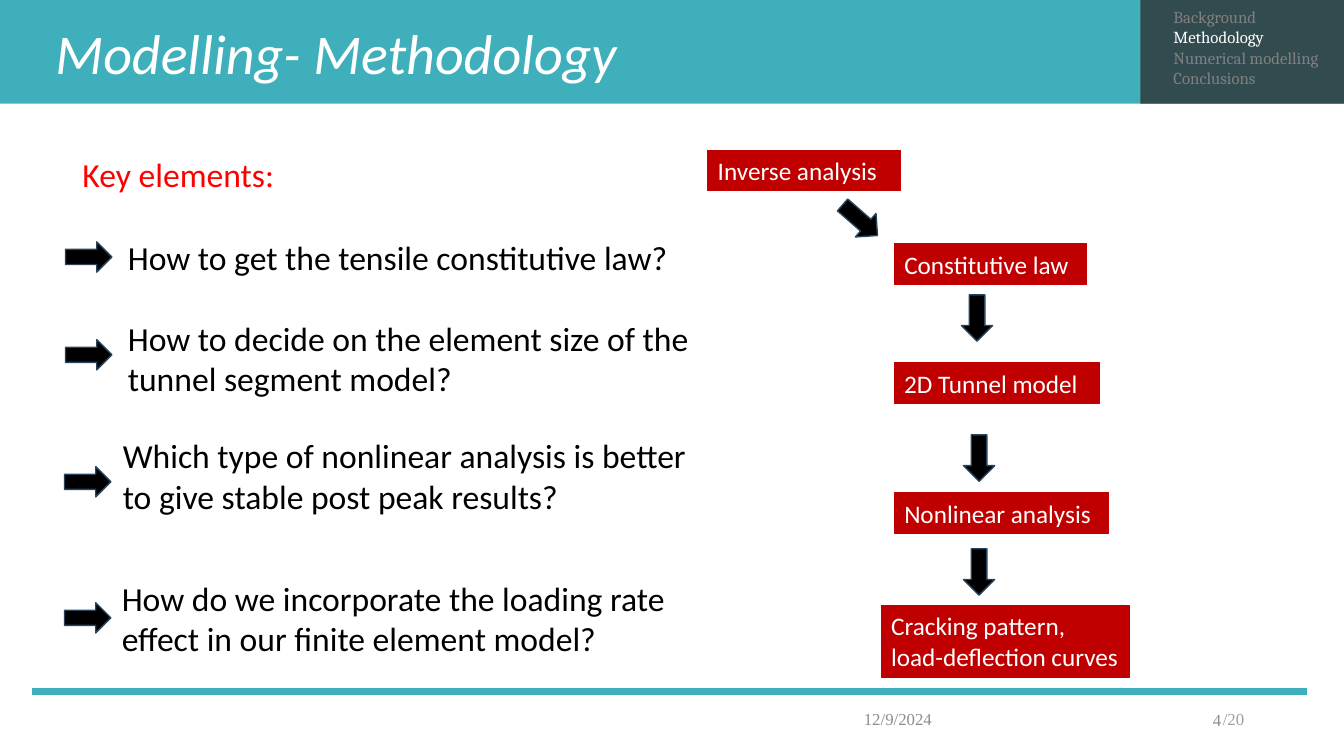
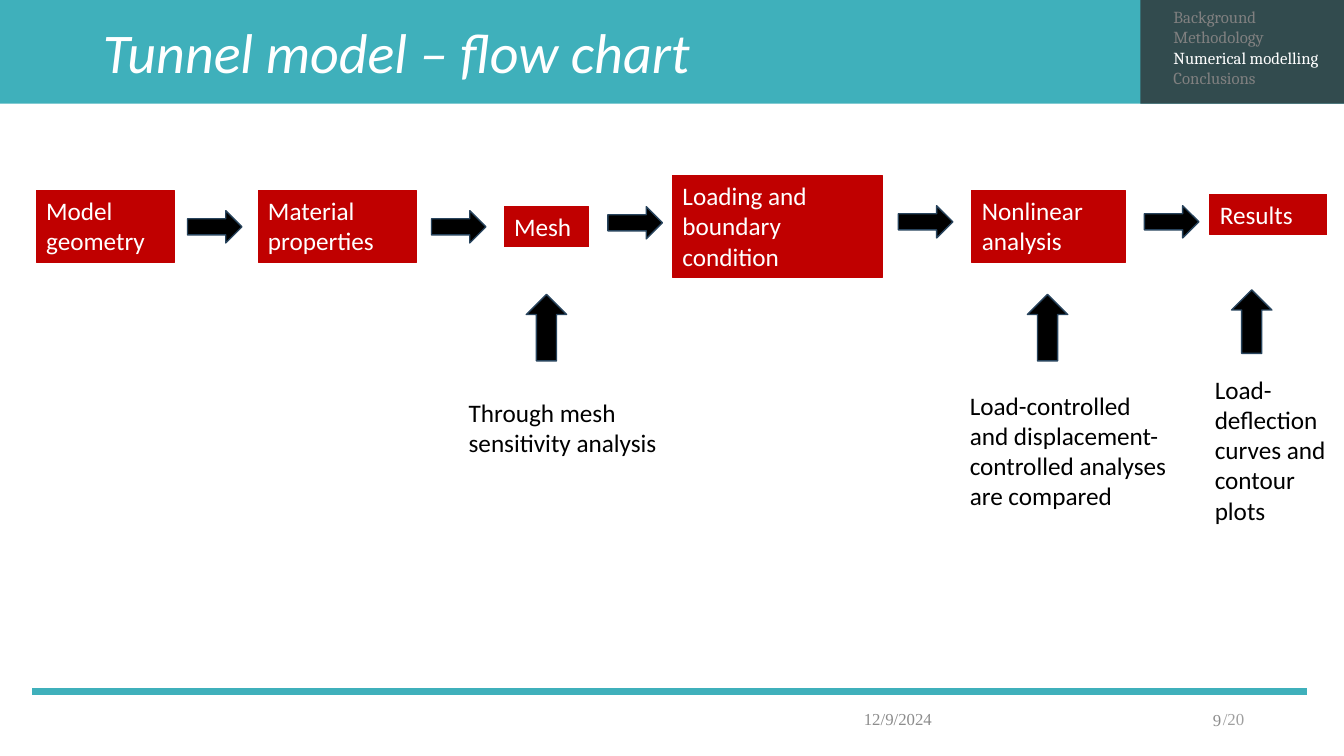
from pptx import Presentation
from pptx.dml.color import RGBColor
from pptx.enum.shapes import MSO_CONNECTOR, MSO_SHAPE
from pptx.enum.text import MSO_ANCHOR, PP_ALIGN
from pptx.oxml.ns import qn
from pptx.util import Inches, Pt
from lxml import etree

TEAL = RGBColor(0x3F, 0xB0, 0xBB)
SLATE = RGBColor(0x32, 0x4B, 0x4E)
CRIMSON = RGBColor(0xC0, 0x00, 0x00)
RED = RGBColor(0xFF, 0x00, 0x00)
NAVY = RGBColor(0x28, 0x44, 0x5D)
BLACK = RGBColor(0x00, 0x00, 0x00)
WHITE = RGBColor(0xFF, 0xFF, 0xFF)
GREY = RGBColor(0x80, 0x80, 0x80)
FOOTER_GREY = RGBColor(0x8C, 0x8C, 0x8C)
TOTAL_GREY = RGBColor(0x9F, 0x9F, 0x9F)

RECTANGLE = MSO_SHAPE.RECTANGLE
RIGHT_ARROW = MSO_SHAPE.RIGHT_ARROW
STRAIGHT = MSO_CONNECTOR.STRAIGHT
MIDDLE = MSO_ANCHOR.MIDDLE
LEFT = PP_ALIGN.LEFT
RIGHT = PP_ALIGN.RIGHT

BODY_FONT = "Calibri"
NAVIGATION_FONT = "Cambria"
FOOTER_FONT = "Times New Roman"
SECTIONS = ["Background", "Methodology", "Numerical modelling", "Conclusions"]
DOWN, UP = 90, 270


def inches(values):
    return [Inches(value) for value in values]


def style(para, size, color, name=BODY_FONT):
    para.font.size = Pt(size)
    para.font.name = name
    para.font.color.rgb = color


def add_text(page, at, text, size, color, name=BODY_FONT):
    box = page.shapes.add_textbox(*inches(at))
    box.text_frame.word_wrap = True
    box.text_frame.text = text
    for para in box.text_frame.paragraphs:
        style(para, size, color, name)
    return box


def add_step(page, at, text):
    box = add_text(page, at, text, 18, WHITE)
    box.fill.solid()
    box.fill.fore_color.rgb = CRIMSON
    box.line.color.rgb = CRIMSON
    box.line.width = Pt(0.75)


def add_shape(page, kind, at, color):
    shape = page.shapes.add_shape(kind, *inches(at))
    shape.shadow.inherit = False
    shape.fill.solid()
    shape.fill.fore_color.rgb = color
    shape.line.fill.background()
    return shape


def add_arrow(page, at, rotation=0):
    arrow = add_shape(page, RIGHT_ARROW, at, BLACK)
    arrow.line.color.rgb = NAVY
    arrow.line.width = Pt(1)
    arrow.rotation = rotation


def add_rule(page, left, right, top):
    rule = page.shapes.add_connector(STRAIGHT, *inches([left, top, right, top]))
    rule.line.color.rgb = TEAL
    rule.line.width = Pt(4.5)
    etree.SubElement(rule.element.spPr, qn("a:effectLst"))


def add_footer(page, number):
    date = add_text(page, (8.47, 6.93, 1.04, 0.4), "12/9/2024", 12, FOOTER_GREY, FOOTER_FONT)
    date.text_frame.vertical_anchor = MIDDLE
    add_text(page, (12.03, 6.98, 0.64, 0.3), "/20", 12, TOTAL_GREY, FOOTER_FONT)
    count = add_text(page, (11.7, 6.94, 0.51, 0.4), number, 12, FOOTER_GREY, FOOTER_FONT)
    count.text_frame.vertical_anchor = MIDDLE
    count.text_frame.paragraphs[0].alignment = RIGHT


def add_navigation(page, current):
    box = add_text(page, (11.54, 0.02, 2.03, 0.91), "\n".join(SECTIONS), 12, GREY, NAVIGATION_FONT)
    box.text_frame.paragraphs[SECTIONS.index(current)].font.color.rgb = WHITE


def set_title(page, text, left, top):
    title = page.shapes.title
    title.left, title.top, title.width, title.height = inches([left, top, 11.5, 1.03])
    title.text_frame.text = text
    title.text_frame.vertical_anchor = MIDDLE
    para = title.text_frame.paragraphs[0]
    para.alignment = LEFT
    para.line_spacing = 0.9
    style(para, 40, WHITE)
    para.font.italic = True
    title.element.getparent().append(title.element)


def add_page(deck, title, left, top, number, section):
    page = deck.slides.add_slide(deck.slide_layouts[5])
    add_shape(page, RECTANGLE, (0, 0, 13.33, 1.03), TEAL)
    add_shape(page, RECTANGLE, (11.31, 0, 2.03, 1.03), SLATE)
    add_rule(page, 0.32, 12.96, 6.86)
    set_title(page, title, left, top)
    add_footer(page, number)
    add_navigation(page, section)
    return page


def build_methodology(deck):
    page = add_page(deck, "Modelling- Methodology", 0.45, 0.04, "4", "Methodology")
    add_text(page, (0.72, 1.48, 6.96, 0.5), "Key elements:", 24, RED)
    questions = [
        ((1.17, 2.3, 6.51, 0.5), (0.65, 2.4), "How to get the tensile constitutive law?"),
        ((1.17, 3.1, 6.33, 0.91), (0.65, 3.37),
         "How to decide on the element size of the tunnel segment model?"),
        ((1.12, 4.27, 6.03, 0.91), (0.64, 4.63),
         "Which type of nonlinear analysis is better to give stable post peak results?"),
        ((1.11, 5.68, 5.92, 0.91), (0.64, 5.98),
         "How do we incorporate the loading rate effect in our finite element model?"),
    ]
    for at, marker, question in questions:
        add_text(page, at, question, 24, BLACK)
        add_arrow(page, (*marker, 0.46, 0.3))

    steps = [
        ((7.02, 1.49, 1.91, 0.4), "Inverse analysis"),
        ((8.87, 2.42, 1.91, 0.4), "Constitutive law"),
        ((8.87, 3.6, 2.04, 0.4), "2D Tunnel model"),
        ((8.87, 4.89, 2.12, 0.4), "Nonlinear analysis"),
        ((8.74, 6.01, 2.46, 0.71), "Cracking pattern, load-deflection curves"),
    ]
    for at, step in steps:
        add_step(page, at, step)
    arrows = [(8.3, 2.03, 41.2), (9.46, 3, DOWN), (9.48, 4.39, DOWN), (9.48, 5.52, DOWN)]
    for left, top, rotation in arrows:
        add_arrow(page, (left, top, 0.46, 0.31), rotation)


def build_flow_chart(deck):
    page = add_page(deck, "Tunnel model – flow chart", 0.92, 0.03, "9", "Numerical modelling")
    steps = [
        ((0.36, 1.89, 1.37, 0.71), "Model geometry"),
        ((2.56, 1.89, 1.57, 0.71), "Material properties"),
        ((5, 2.05, 0.84, 0.4), "Mesh"),
        ((6.67, 1.74, 2.08, 1.01), "Loading and boundary condition"),
        ((9.64, 1.89, 1.52, 0.71), "Nonlinear analysis"),
        ((12, 1.93, 1.16, 0.4), "Results"),
    ]
    for at, step in steps:
        add_step(page, at, step)
    for left, top in [(1.86, 2.09), (4.28, 2.09), (6.03, 2.05), (8.91, 2.04), (11.35, 2.04)]:
        add_arrow(page, (left, top, 0.54, 0.32))

    remarks = [
        ((5.09, 3.05, 0.66, 0.4), (4.55, 3.89, 2.17, 0.71), "Through mesh sensitivity analysis"),
        ((10.06, 3.05, 0.66, 0.4), (9.52, 3.82, 2.17, 1.31),
         "Load-controlled and displacement- controlled analyses are compared"),
        ((12.1, 2.99, 0.63, 0.4), (11.95, 3.66, 1.47, 1.62),
         "Load-deflection curves and contour plots"),
    ]
    for arrow_at, text_at, remark in remarks:
        add_arrow(page, arrow_at, UP)
        add_text(page, text_at, remark, 18, BLACK)


def main():
    deck = Presentation()
    deck.slide_width = Inches(13.33)
    deck.slide_height = Inches(7.5)
    build_methodology(deck)
    build_flow_chart(deck)
    deck.save("out.pptx")


if __name__ == "__main__":
    main()
